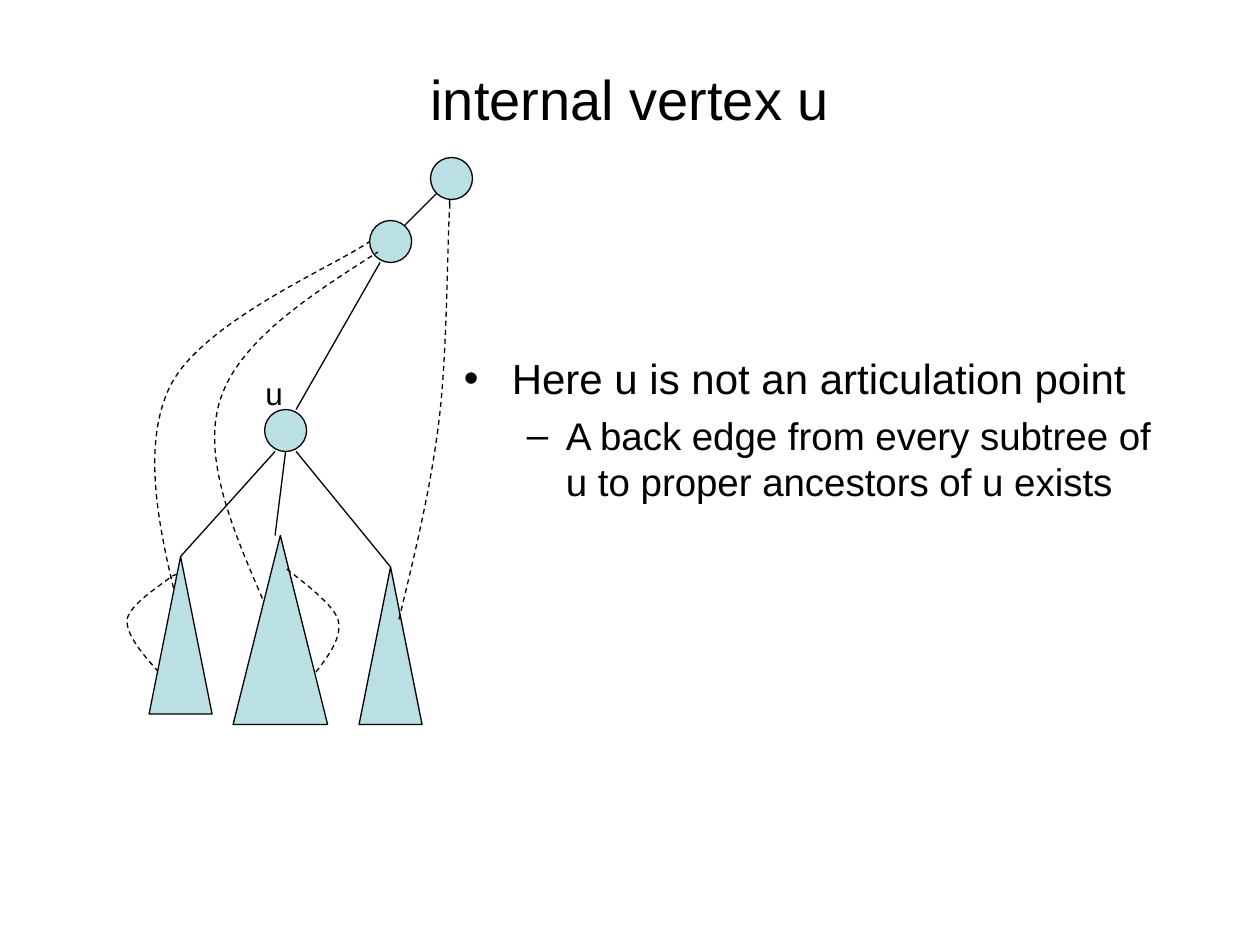
from lxml.etree import SubElement
from pptx import Presentation
from pptx.dml.color import RGBColor
from pptx.enum.dml import MSO_LINE
from pptx.enum.shapes import MSO_CONNECTOR, MSO_SHAPE
from pptx.enum.text import MSO_ANCHOR, PP_ALIGN
from pptx.oxml.ns import qn
from pptx.util import Inches, Pt

COLORS = {"ink": "000000", "node": "BBE0E3"}
FONT = "Arial"
COLUMNS, ROWS = 120, 90
NODE_SIZE = 4

ROOT, PARENT, VERTEX_U = (41, 15), (35.2, 21), (25.2, 39)
SUBTREES = [(14.2, 53, 6, 15), (22.2, 51, 9, 18), (34.2, 54, 6, 15)]
TREE_EDGES = [
    ((37, 23), (43, 17)),
    ((28.2, 39), (36.2, 25)),
    ((17.2, 53), (26.2, 43)),
    ((26.2, 51), (27.2, 43)),
    ((28.2, 43), (37.2, 54)),
]
LOWER_BACK_EDGES = [
    [(15.1, 64), (13.6, 62.3), (12, 60.5), (12.1, 59), (12.4, 57.5),
     (15.4, 55.7), (16.2, 55), (17, 54.4), (17.2, 55), (17.2, 55),
     (17.2, 55), (16.7, 55), (16.2, 55)],
    [(17.8, 61), (15.5, 52.2), (13.2, 43.3), (16.1, 37),
     (19, 30.7), (32, 25.3), (35.2, 23)],
]
UPPER_BACK_EDGES = [
    [(30.1, 64), (31.4, 62.3), (32.6, 60.7), (32.2, 59),
     (31.7, 57.4), (28, 54.8), (27.1, 54)],
    [(38, 59), (39.5, 52.8), (41, 46.7), (41.8, 40.2), (42.6, 33.8),
     (42.6, 23.9), (42.8, 20.4), (43, 17), (43, 18.2), (42.8, 19.4)],
    [(25, 57), (22.1, 50.3), (19.2, 43.4), (21, 38),
     (22.8, 32.5), (29.4, 28.2), (36, 24)],
]


def grid(*values):
    """Convert grid steps of a twelfth of an inch to lengths."""
    return [Inches(value / 12) for value in values]


def color(name):
    """Look up a named color."""
    return RGBColor.from_string(COLORS[name])


def outline(item):
    """Give a shape or connector the thin dark line."""
    item.line.color.rgb = color("ink")
    item.line.width = Pt(0.75)


def add_solid(page, kind, left, top, width, height):
    """Add a filled preset shape."""
    shape = page.shapes.add_shape(kind, *grid(left, top, width, height))
    shape.shadow.inherit = False
    shape.fill.solid()
    shape.fill.fore_color.rgb = color("node")
    outline(shape)


def add_node(page, corner):
    """Add a round vertex by its top left corner."""
    add_solid(page, MSO_SHAPE.OVAL, *corner, NODE_SIZE, NODE_SIZE)


def add_edge(page, start, end):
    """Add a straight tree edge."""
    edge = page.shapes.add_connector(MSO_CONNECTOR.STRAIGHT, *grid(*start, *end))
    outline(edge)
    SubElement(edge._element.spPr, qn("a:effectLst"))


def add_back_edge(page, points):
    """Add a dashed Bezier curve through a start point and point triples."""
    start, *controls = [grid(*point) for point in points]
    builder = page.shapes.build_freeform(*start)
    builder.add_line_segments(controls, close=False)
    curve = builder.convert_to_shape()
    curve.shadow.inherit = False
    curve.fill.background()
    outline(curve)
    curve.line.dash_style = MSO_LINE.DASH
    track = next(curve._element.iter(qn("a:path")))
    segments = track.findall(qn("a:lnTo"))
    for first in range(0, len(segments), 3):
        bezier = SubElement(track, qn("a:cubicBezTo"))
        for segment in segments[first:first + 3]:
            bezier.append(segment[0])
            track.remove(segment)


def add_box(page, left, top, width, height, anchor=MSO_ANCHOR.TOP):
    """Add a wrapping text box and return its frame."""
    box = page.shapes.add_textbox(*grid(left, top, width, height))
    box.text_frame.word_wrap = True
    box.text_frame.vertical_anchor = anchor
    return box.text_frame


def write(para, text, size, align=PP_ALIGN.LEFT, before=0, bullet=None, margin=0, hang=0):
    """Write one formatted paragraph."""
    para.alignment = align
    para.space_before = Pt(before)
    span = para.add_run()
    span.text = text
    span.font.name = FONT
    span.font.size = Pt(size)
    span.font.color.rgb = color("ink")
    if bullet:
        properties = para._p.get_or_add_pPr()
        properties.set("marL", str(Inches(margin)))
        properties.set("indent", str(-Inches(hang)))
        SubElement(properties, qn("a:buFont")).set("typeface", FONT)
        SubElement(properties, qn("a:buChar")).set("char", bullet)


def add_tree(page):
    """Draw the search tree with its back edges."""
    for start, end in TREE_EDGES:
        add_edge(page, start, end)
    for points in LOWER_BACK_EDGES:
        add_back_edge(page, points)
    for subtree in SUBTREES:
        add_solid(page, MSO_SHAPE.ISOSCELES_TRIANGLE, *subtree)
    add_node(page, VERTEX_U)
    add_node(page, PARENT)
    for points in UPPER_BACK_EDGES:
        add_back_edge(page, points)
    add_node(page, ROOT)


def main():
    """Build and save the slide."""
    deck = Presentation()
    deck.slide_width, deck.slide_height = grid(COLUMNS, ROWS)
    page = deck.slides.add_slide(deck.slide_layouts[6])
    title = add_box(page, 6, 3.6, 108, 11.4, MSO_ANCHOR.MIDDLE)
    write(title.paragraphs[0], "internal vertex u", 32, align=PP_ALIGN.CENTER)
    body = add_box(page, 43, 33, 70, 17)
    write(body.paragraphs[0], "Here u is not an articulation point", 24,
          before=5, bullet="•", margin=0.38, hang=0.38)
    write(body.add_paragraph(),
          "A back edge from every subtree of u to proper ancestors of u exists", 22,
          before=5, bullet="–", margin=0.81, hang=0.31)
    add_tree(page)
    label = add_box(page, 24.1, 35, 6, 4.8)
    write(label.paragraphs[0], "u", 18)
    deck.save("out.pptx")


if __name__ == "__main__":
    main()
